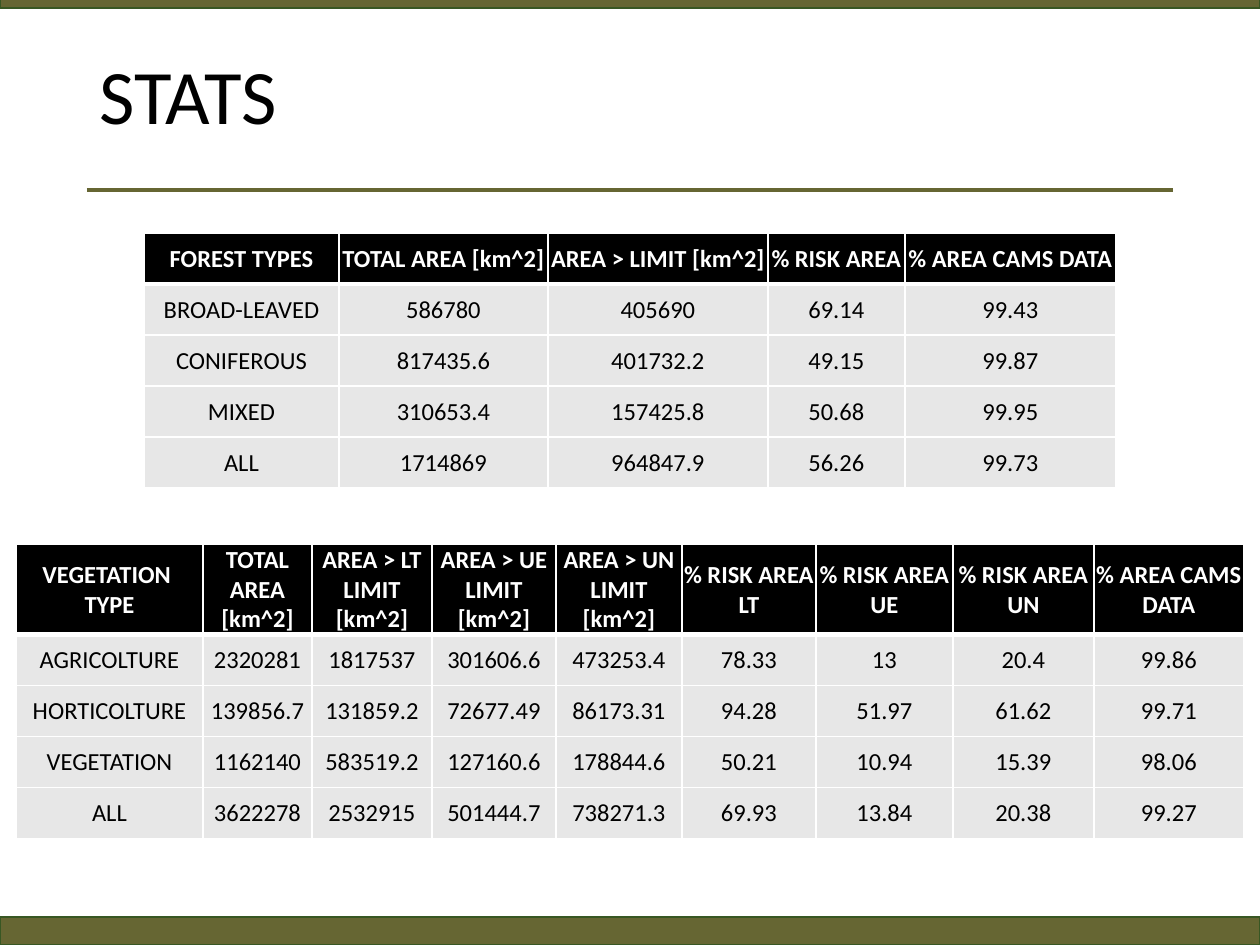
"""Build the STATS slide: two tables of areas at risk by forest and vegetation type."""
from lxml import etree
from pptx import Presentation
from pptx import util as u
from pptx.dml.color import RGBColor
from pptx.enum import shapes, text
from pptx.oxml.ns import qn

TITLE = "STATS"
FOREST = {
    "position": (144, 233),
    "columns": (195, 209, 220, 137, 211),
    "header_height": 51,
    "rows": [
        ("FOREST TYPES", "TOTAL AREA [km^2]", "AREA > LIMIT [km^2]", "% RISK AREA", "% AREA CAMS DATA"),
        ("BROAD-LEAVED", "586780", "405690", "69.14", "99.43"),
        ("CONIFEROUS", "817435.6", "401732.2", "49.15", "99.87"),
        ("MIXED", "310653.4", "157425.8", "50.68", "99.95"),
        ("ALL", "1714869", "964847.9", "56.26", "99.73"),
    ],
}
VEGETATION = {
    "position": (16, 544),
    "columns": (187, 109, 120, 124, 126, 134, 137, 141, 150),
    "header_height": 88,
    "rows": [
        ("VEGETATION \nTYPE", "TOTAL\nAREA [km^2]", "AREA > LT LIMIT [km^2]",
         "AREA > UE LIMIT [km^2]", "AREA > UN LIMIT [km^2]", "% RISK AREA LT",
         "% RISK AREA UE", "% RISK AREA UN", "% AREA CAMS DATA"),
        ("AGRICOLTURE", "2320281", "1817537", "301606.6", "473253.4", "78.33", "13", "20.4", "99.86"),
        ("HORTICOLTURE", "139856.7", "131859.2", "72677.49", "86173.31", "94.28", "51.97", "61.62", "99.71"),
        ("VEGETATION", "1162140", "583519.2", "127160.6", "178844.6", "50.21", "10.94", "15.39", "98.06"),
        ("ALL", "3622278", "2532915", "501444.7", "738271.3", "69.93", "13.84", "20.38", "99.27"),
    ],
}
BANDS = [(0, 917, 1260, 28), (0, -1, 1260, 9)]
RULE = (87, 190, 1173, 190)
TITLE_BOX = (87, 8, 1086, 183)
ROW_HEIGHT = 51
FONT = "Calibri"
OLIVE = RGBColor(0x66, 0x66, 0x33)
GREEN = RGBColor(0x38, 0x57, 0x23)
BLACK = RGBColor(0, 0, 0)
WHITE = RGBColor(255, 255, 255)
GREY = RGBColor(0xE7, 0xE7, 0xE7)


def px(*lengths):
    return [u.Emu(round(length * 914400 / 126)) for length in lengths]


def add_run(paragraph, words, size, color, bold=False):
    run = paragraph.add_run()
    run.text = words
    run.font.name = FONT
    run.font.size = u.Pt(size)
    run.font.bold = bold
    run.font.color.rgb = color


def add_borders(cell, top, bottom):
    properties = cell._tc.get_or_add_tcPr()
    for side, points in (("L", 1), ("R", 1), ("T", top), ("B", bottom)):
        line = etree.SubElement(properties, qn(f"a:ln{side}"), w=str(u.Pt(points)))
        fill = etree.SubElement(line, qn("a:solidFill"))
        etree.SubElement(fill, qn("a:srgbClr"), val=str(WHITE))


def format_cell(cell, words, row_index):
    header = row_index == 0
    cell.margin_left, cell.margin_right, cell.margin_top = px(1, 1, 1)
    cell.margin_bottom = 0
    cell.vertical_anchor = text.MSO_ANCHOR.MIDDLE
    add_borders(cell, top=3 if row_index == 1 else 1, bottom=3 if header else 1)
    cell.fill.solid()
    cell.fill.fore_color.rgb = BLACK if header else GREY
    for index, line in enumerate(words.split("\n")):
        paragraph = cell.text_frame.add_paragraph() if index else cell.text_frame.paragraphs[0]
        paragraph.alignment = text.PP_ALIGN.CENTER
        add_run(paragraph, line, 14, WHITE if header else BLACK, header)


def add_stats_table(slide, stats):
    rows, columns = stats["rows"], stats["columns"]
    heights = [stats["header_height"]] + [ROW_HEIGHT] * (len(rows) - 1)
    frame = slide.shapes.add_table(
        len(rows), len(columns), *px(*stats["position"], sum(columns), sum(heights)))
    table = frame.table
    for column, width in zip(table.columns, px(*columns)):
        column.width = width
    for row, height in zip(table.rows, px(*heights)):
        row.height = height
    for row_index, row in enumerate(rows):
        for column_index, words in enumerate(row):
            format_cell(table.cell(row_index, column_index), words, row_index)


def add_frame(slide):
    for box in BANDS:
        band = slide.shapes.add_shape(shapes.MSO_SHAPE.RECTANGLE, *px(*box))
        band.shadow.inherit = False
        band.fill.solid()
        band.fill.fore_color.rgb = OLIVE
        band.line.color.rgb = GREEN
        band.line.width = u.Pt(1)
    rule = slide.shapes.add_connector(shapes.MSO_CONNECTOR.STRAIGHT, *px(*RULE))
    rule.line.color.rgb = OLIVE
    rule.line.width = u.Pt(2.25)
    etree.SubElement(rule._element.spPr, qn("a:effectLst"))


def add_title(slide):
    title = slide.shapes.title
    title.left, title.top, title.width, title.height = px(*TITLE_BOX)
    title.text_frame.vertical_anchor = text.MSO_ANCHOR.MIDDLE
    paragraph = title.text_frame.paragraphs[0]
    paragraph.alignment = text.PP_ALIGN.LEFT
    paragraph.line_spacing = 0.9
    add_run(paragraph, TITLE, 44, BLACK)


def main():
    presentation = Presentation()
    presentation.slide_width, presentation.slide_height = px(1260, 945)
    slide = presentation.slides.add_slide(presentation.slide_layouts[5])
    add_frame(slide)
    add_title(slide)
    for stats in (FOREST, VEGETATION):
        add_stats_table(slide, stats)
    presentation.save("out.pptx")


if __name__ == "__main__":
    main()
